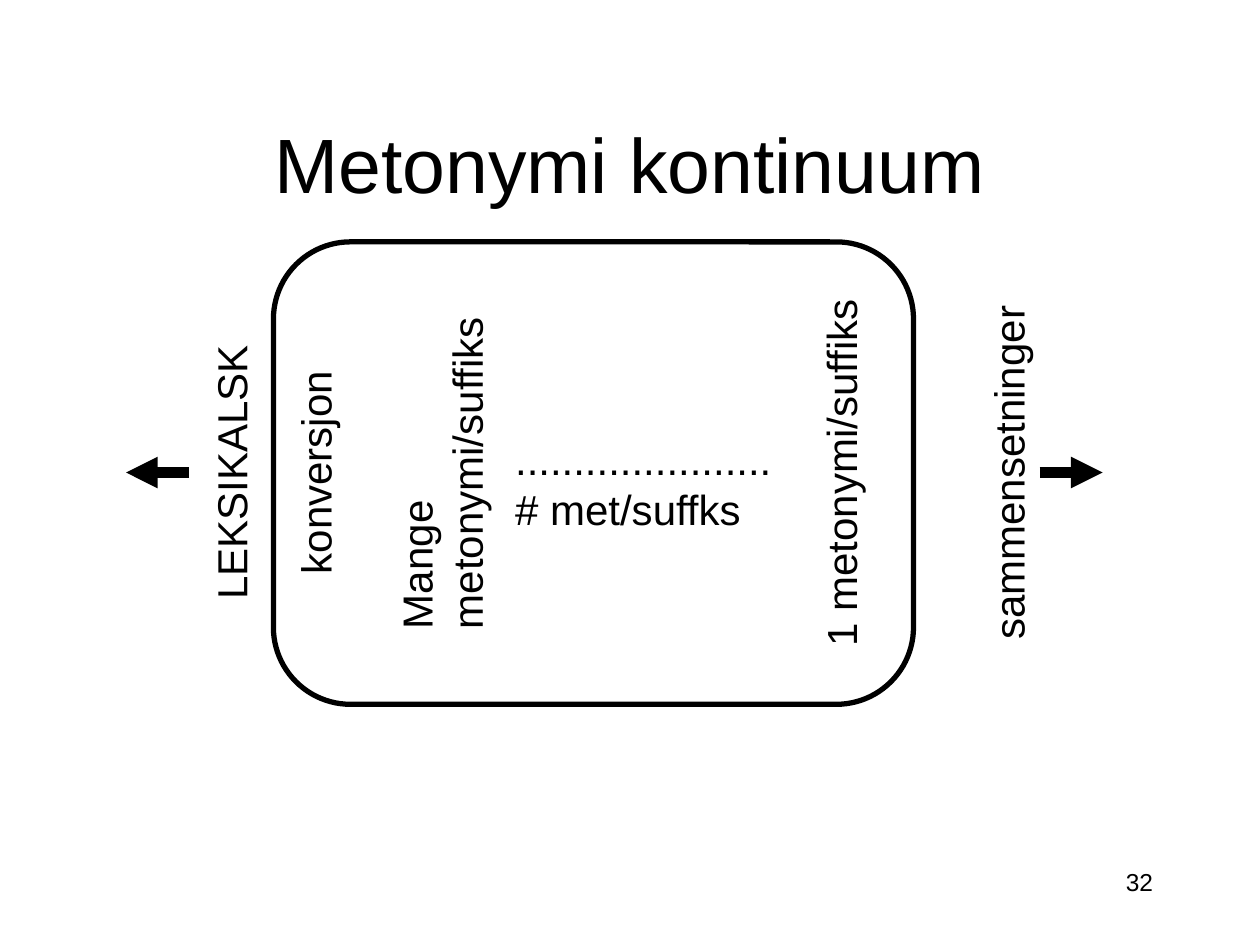
"""Build the metonymy continuum slide."""
from lxml import etree
from pptx import Presentation
from pptx.dml.color import RGBColor
from pptx.enum import shapes, text
from pptx.oxml import ns
from pptx.util import Inches, Pt

THEME = {
    "font": "Arial",
    "ink": RGBColor(0, 0, 0),
    "title": Pt(44),
    "label": Pt(24),
    "number": Pt(14),
    "frame": Pt(3),
    "arrow": Pt(6),
}
MIDDLE = 3.75


def write(tf, lines, size, align):
    tf.text = "\n".join(lines)
    for p in tf.paragraphs:
        p.alignment = align
        p.font.color.rgb = THEME["ink"]
        for name, value in {"name": THEME["font"], "size": size}.items():
            setattr(p.font, name, value)


prs = Presentation()
prs.slide_width, prs.slide_height = Inches(10), Inches(7.5)
s = prs.slides.add_slide(prs.slide_layouts[5])

title = s.shapes.title
place = {"left": 0.75, "top": 0.67, "width": 8.5, "height": 1.25}
for name, value in place.items():
    setattr(title, name, Inches(value))
title.text_frame.vertical_anchor = text.MSO_ANCHOR.MIDDLE
write(title.text_frame, ["Metonymi kontinuum"], THEME["title"], text.PP_ALIGN.CENTER)

number = s.shapes.add_textbox(Inches(7.17), Inches(6.83), Inches(2.08), Inches(0.5))
number.text_frame.word_wrap = True
write(number.text_frame, ["32"], THEME["number"], text.PP_ALIGN.RIGHT)

labels = [
    (1.83, MIDDLE, 2.22, 270, ["LEKSIKALSK"]),
    (2.5, MIDDLE, 1.81, 270, ["konversjon"]),
    (3.5, MIDDLE, 2.68, 270, ["Mange", "metonymi/suffiks"]),
    (6.67, MIDDLE, 2.96, 270, ["1 metonymi/suffiks"]),
    (8, MIDDLE, 2.85, 270, ["sammensetninger"]),
    (5.11, 3.84, 2.24, 0, ["......................", "# met/suffks"]),
]
for x, y, width, rotation, lines in labels:
    height = 0.1 + 0.4 * len(lines)
    sp = s.shapes.add_textbox(
        Inches(x - width / 2), Inches(y - height / 2), Inches(width), Inches(height))
    sp.rotation = rotation
    tf = sp.text_frame
    tf.word_wrap = False
    tf.auto_size = text.MSO_AUTO_SIZE.SHAPE_TO_FIT_TEXT
    write(tf, lines, THEME["label"], text.PP_ALIGN.LEFT)

for start, end in [(1.5, 1), (8.25, 8.75)]:
    arrow = s.shapes.add_connector(
        shapes.MSO_CONNECTOR.STRAIGHT,
        Inches(start), Inches(MIDDLE), Inches(end), Inches(MIDDLE))
    arrow.line.color.rgb = THEME["ink"]
    arrow.line.width = THEME["arrow"]
    etree.SubElement(arrow.line._get_or_add_ln(), ns.qn("a:tailEnd"), type="triangle")
    etree.SubElement(arrow._element.spPr, ns.qn("a:effectLst"))

frame = s.shapes.add_shape(
    shapes.MSO_SHAPE.ROUNDED_RECTANGLE,
    Inches(2.17), Inches(1.92), Inches(5.08), Inches(3.67))
frame.shadow.inherit = False
frame.fill.background()
frame.line.color.rgb = THEME["ink"]
frame.line.width = THEME["frame"]

prs.save("out.pptx")
